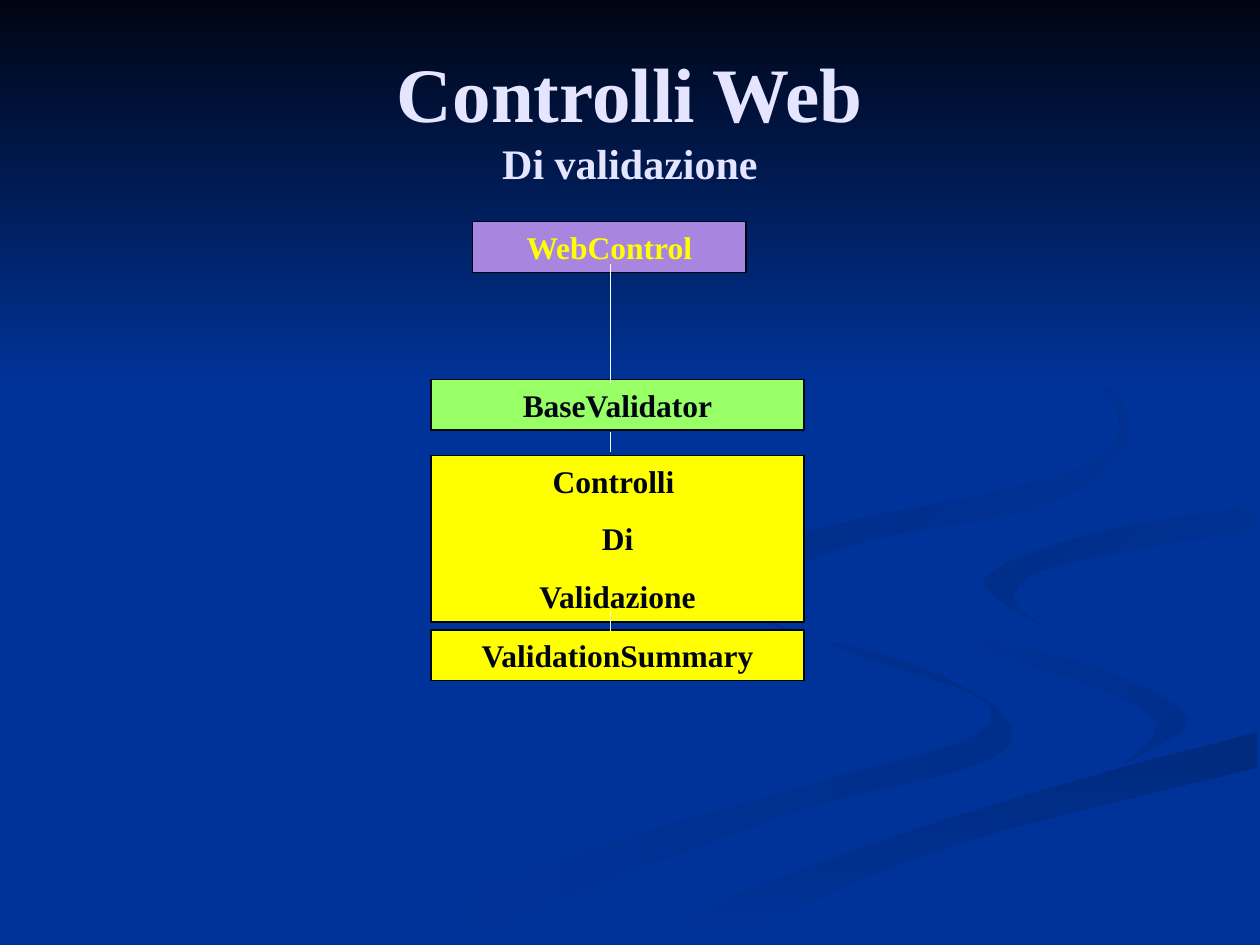
import pptx
import pptx.dml.color
import pptx.enum.shapes
import pptx.enum.text
import pptx.oxml
import pptx.util
from pptx.util import Cm

FONT = "Times New Roman"
COLORS = {
    "blue": "003399", "night": "000514", "title": "E5E5FF", "green": "99FF66",
    "yellow": "FFFF00", "violet": "A886E0", "white": "FFFFFF",
    "wave": "002E8B", "stream": "002A7D", "bend": "002D86", "crest": "002B82",
}
UNIT = Cm(0.0254)  # ribbon edges are in hundredths of an inch
STEPS = 6  # segments between two points of a ribbon edge

# Each ribbon: first colour, last colour, clockwise angle, its two edges
RIBBONS = [
    ("blue", "wave", 0,
     [(574, 464), (614, 496), (728, 529), (798, 570), (780, 605), (616, 649), (361, 749)],
     [(300, 749), (417, 690), (652, 620), (767, 587), (781, 556), (697, 525), (581, 483)]),
    ("blue", "wave", 45,
     [(724, 464), (758, 498), (870, 530), (943, 570), (894, 605)],
     [(894, 605), (918, 576), (880, 549), (781, 518)]),
    ("stream", "blue", 90,
     [(503, 749), (630, 693), (821, 629), (998, 581)],
     [(998, 609), (752, 672), (571, 749)]),
    ("bend", "blue", 45,
     [(998, 402), (865, 424), (781, 460), (826, 496)],
     [(826, 496), (805, 472), (843, 448), (998, 420)]),
    ("crest", "blue", 45,
     [(762, 233), (873, 299), (892, 354), (825, 402), (683, 430), (593, 470), (622, 500)],
     [(622, 500), (577, 462), (637, 423), (842, 378), (889, 335), (846, 279)]),
]

BOX_LEFT, BOX_WIDTH, BOX_HEIGHT = 8.69, 7.52, 1.02
BOXES = [  # text, fill, text colour, left, top, width, height
    ("BaseValidator", "green", "night", BOX_LEFT, 7.65, BOX_WIDTH, BOX_HEIGHT),
    ("Controlli \nDi\nValidazione", "yellow", "night", BOX_LEFT, 9.19, BOX_WIDTH, 3.35),
    ("ValidationSummary", "yellow", "night", BOX_LEFT, 12.7, BOX_WIDTH, BOX_HEIGHT),
    ("WebControl", "violet", "yellow", 9.53, 4.47, 5.51, BOX_HEIGHT),
]
LINK_X = 12.3
LINKS = [(5.33, 7.72), (8.71, 9.12), (12.32, 12.73)]  # top and bottom


def rgb(name):
    """Return a named colour as RGBColor."""
    return pptx.dml.color.RGBColor.from_string(COLORS[name])


def style_run(run, size, color):
    """Give a run the bold serif look of the slide."""
    run.font.name = FONT
    run.font.size = pptx.util.Pt(size)
    run.font.bold = True
    run.font.color.rgb = rgb(color)


def smooth_edge(points):
    """Return a Catmull-Rom curve through the points."""
    padded = [points[0], *points, points[-1]]
    curve = []
    for a, b, c, d in zip(padded, padded[1:], padded[2:], padded[3:]):
        for step in range(STEPS):
            t = step / STEPS
            curve.append(tuple(
                q + t / 2 * (r - p + t * (2 * p - 5 * q + 4 * r - s
                                          + t * (3 * (q - r) + s - p)))
                for p, q, r, s in zip(a, b, c, d)))
    return curve + [points[-1]]


def paint_background_part(part, first, last, angle):
    """Give a background shape a two-colour fill and no line."""
    part.shadow.inherit = False
    part.line.fill.background()
    part.fill.gradient()
    part.fill.gradient_angle = -angle % 360
    for stop, color in zip(part.fill.gradient_stops, (first, last)):
        stop.color.rgb = rgb(color)


def add_ribbon(slide, first, last, angle, outer, inner):
    """Add one curved ribbon between two edges."""
    outline = smooth_edge(outer) + smooth_edge(inner)
    builder = slide.shapes.build_freeform(*outline[0], scale=UNIT)
    builder.add_line_segments(outline[1:], close=True)
    paint_background_part(builder.convert_to_shape(), first, last, angle)


def add_sky(slide):
    """Add the dark band across the top of the slide."""
    sky = slide.shapes.add_shape(
        pptx.enum.shapes.MSO_SHAPE.RECTANGLE, 0, 0, Cm(25.4), Cm(7.82))
    paint_background_part(sky, "night", "blue", 90)


def add_heading(slide):
    """Fill the title placeholder and bring it above the background."""
    heading = slide.shapes.title
    heading.left, heading.top = Cm(1.27), Cm(0.76)
    heading.width, heading.height = Cm(22.86), Cm(3.18)
    frame = heading.text_frame
    frame.text = "Controlli Web\vDi validazione"
    frame.vertical_anchor = pptx.enum.text.MSO_ANCHOR.MIDDLE
    frame.auto_size = pptx.enum.text.MSO_AUTO_SIZE.NONE
    paragraph = frame.paragraphs[0]
    paragraph.alignment = pptx.enum.text.PP_ALIGN.CENTER
    for run, size in zip(paragraph.runs, (44, 24)):
        style_run(run, size, "title")
    heading.element.getparent().append(heading.element)


def add_class_box(slide, text, fill, color, *place):
    """Add one box of the class hierarchy."""
    box = slide.shapes.add_shape(
        pptx.enum.shapes.MSO_SHAPE.RECTANGLE, *map(Cm, place))
    box.shadow.inherit = False
    box.fill.solid()
    box.fill.fore_color.rgb = rgb(fill)
    box.line.color.rgb = rgb("night")
    box.line.width = pptx.util.Pt(0.75)
    frame = box.text_frame
    frame.text = text
    frame.word_wrap = True
    frame.vertical_anchor = pptx.enum.text.MSO_ANCHOR.TOP
    for paragraph in frame.paragraphs:
        paragraph.alignment = pptx.enum.text.PP_ALIGN.CENTER
        paragraph.space_before = pptx.util.Pt(11.2)
        style_run(paragraph.runs[0], 18, color)


def add_link(slide, top, bottom):
    """Add a vertical line between two boxes."""
    link = slide.shapes.add_connector(
        pptx.enum.shapes.MSO_CONNECTOR.STRAIGHT,
        Cm(LINK_X), Cm(top), Cm(LINK_X), Cm(bottom))
    link.line.color.rgb = rgb("white")
    link.line.width = pptx.util.Pt(0.75)
    link.element.spPr.append(pptx.oxml.parse_xml(
        '<a:effectLst xmlns:a="http://schemas.openxmlformats.org/drawingml/2006/main"/>'))


def main():
    """Build the slide and save it."""
    deck = pptx.Presentation()
    deck.slide_width, deck.slide_height = Cm(25.4), Cm(19.05)
    slide = deck.slides.add_slide(deck.slide_layouts[5])
    slide.background.fill.solid()
    slide.background.fill.fore_color.rgb = rgb("blue")
    for ribbon in RIBBONS:
        add_ribbon(slide, *ribbon)
    add_sky(slide)
    add_heading(slide)
    for box in BOXES:
        add_class_box(slide, *box)
    for link in LINKS:
        add_link(slide, *link)
    deck.save("out.pptx")


main()
